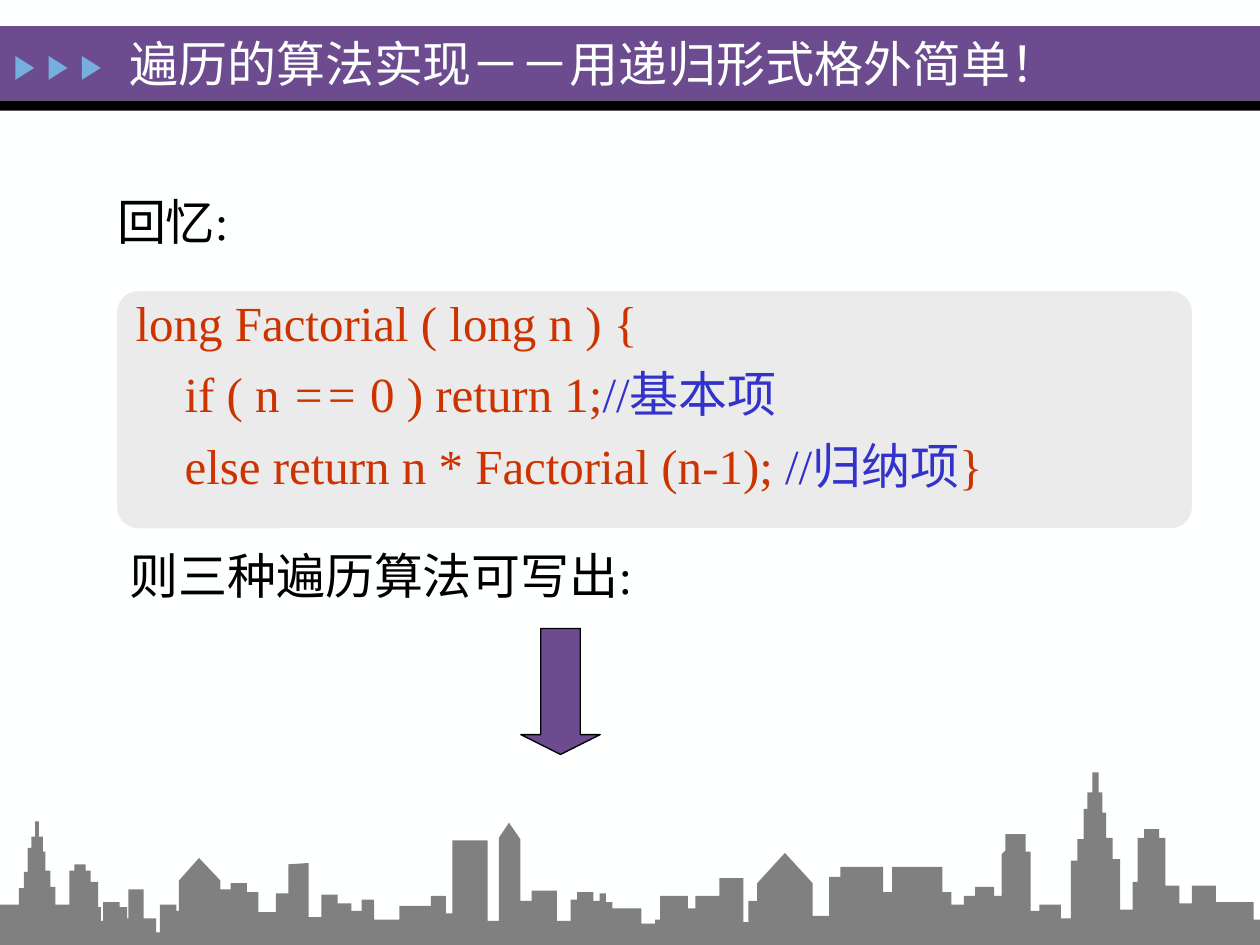
from pptx import Presentation
from pptx import util as u
from pptx.dml.color import RGBColor
from pptx.enum import shapes, text

COLOURS = {
    "paper": "FEFFFF", "purple": "6C4C8F", "black": "000000", "sky": "76AEDD",
    "panel": "EBEBEB", "code": "CC3300", "comment": "3333CC", "city": "808080",
}

ROOFS = [
    (15, 705), (19, 692), (22, 673), (25, 664), (28, 652), (31, 664), (34, 676),
    (36, 691), (40, 704), (44, 718), (55, 691), (59, 686), (68, 691), (72, 700),
    (78, 720), (80, 731), (82, 716), (95, 720), (101, 729), (102, 706), (114, 729),
    (124, 740), (127, 718), (140, 723), (142, 699), (158, 681), (175, 699),
    (175, 706), (183, 701), (196, 708), (205, 724), (219, 709), (229, 686),
    (245, 685), (245, 728), (255, 710), (268, 717), (279, 723), (287, 714),
    (297, 730), (317, 719), (342, 711), (354, 725), (359, 667), (387, 731),
    (396, 665), (404, 653), (413, 666), (413, 715), (422, 707), (442, 731),
    (453, 714), (458, 708), (471, 715), (476, 709), (481, 716), (486, 721),
    (509, 733), (520, 730), (524, 711), (546, 721), (552, 711), (571, 697),
    (590, 732), (594, 715), (601, 701), (623, 677), (645, 701), (645, 727),
    (658, 696), (667, 688), (701, 708), (708, 688), (748, 708), (755, 718),
    (765, 711), (774, 704), (789, 711), (795, 678), (798, 675), (798, 662),
    (814, 676), (818, 723), (825, 718), (842, 729), (850, 683), (855, 666),
    (860, 642), (863, 629), (867, 613), (872, 629), (875, 645), (878, 665),
    (883, 682), (889, 722), (899, 700), (903, 665), (908, 658), (920, 665),
    (925, 703), (936, 717), (946, 703), (965, 716), (995, 730),
]
SLOPED = {(158, 681), (175, 699), (245, 685), (404, 653), (413, 666),
          (623, 677), (645, 701), (798, 675)}


class SlideWriter:
    """Draws styled elements on the current slide."""

    font = "Times New Roman"
    size = u.Pt(28)

    def __init__(self, page):
        self.page = page
        self.paint(page.background.fill, "paper")

    def paint(self, fill, colour):
        fill.solid()
        fill.fore_color.rgb = RGBColor.from_string(COLOURS[colour])

    def finish(self, shape, colour, outline=None):
        shape.shadow.inherit = False
        self.paint(shape.fill, colour)
        if outline:
            self.paint(shape.line.fill, outline)
            shape.line.width = u.Pt(0.75)
        else:
            shape.line.fill.background()
        return shape

    def shape(self, kind, area, colour, outline=None, adjust=()):
        shape = self.page.shapes.add_shape(kind, *map(u.Cm, area))
        for index, value in enumerate(adjust):
            shape.adjustments[index] = value
        return self.finish(shape, colour, outline)

    def span(self, para, words, colour, italic=False):
        span = para.add_run()
        span.text = words
        span.font.name, span.font.size = self.font, self.size
        span.font.italic = italic
        span.font.color.rgb = RGBColor.from_string(COLOURS[colour])

    def label(self, area, words, colour, anchor=text.MSO_ANCHOR.TOP):
        box = self.page.shapes.add_textbox(*map(u.Cm, area))
        box.text_frame.word_wrap = True
        box.text_frame.vertical_anchor = anchor
        self.span(box.text_frame.paragraphs[0], words, colour)

    def code(self, area, lines):
        box = self.shape(shapes.MSO_SHAPE.ROUNDED_RECTANGLE, area, "panel", adjust=[0.09])
        frame = box.text_frame
        frame.word_wrap = True
        frame.vertical_anchor = text.MSO_ANCHOR.TOP
        for index, spans in enumerate(lines):
            para = frame.add_paragraph() if index else frame.paragraphs[0]
            para.alignment = text.PP_ALIGN.LEFT
            para.line_spacing = 0.8
            if index:
                para.space_before = u.Pt(14)
            for span in spans:
                self.span(para, *span)

    def skyline(self, roofs, sloped, colour):
        width, ground, level = 1000, 750, 718
        points = [(0, level)]
        for x, y in roofs:
            if (x, y) not in sloped:
                points.append((x, level))
            points.append((x, y))
            level = y
        points += [(width, level), (width, ground)]
        outline = self.page.shapes.build_freeform(0, ground, scale=u.Cm(0.0254))
        outline.add_line_segments(points, close=True)
        self.finish(outline.convert_to_shape(), colour)


def main():
    deck = Presentation()
    deck.slide_width, deck.slide_height = u.Cm(25.4), u.Cm(19.05)
    writer = SlideWriter(deck.slides.add_slide(deck.slide_layouts[6]))
    kinds = shapes.MSO_SHAPE

    writer.shape(kinds.RECTANGLE, (0, 0.53, 25.4, 1.5), "purple")
    writer.shape(kinds.RECTANGLE, (0, 2.03, 25.4, 0.2), "black")
    for index in range(3):
        marker = writer.shape(
            kinds.ISOSCELES_TRIANGLE, (0.26 + 0.67 * index, 1.18, 0.48, 0.38), "sky")
        marker.rotation = 90

    writer.label((2.36, 10.87, 11.46, 1.45), "则三种遍历算法可写出:", "black")
    writer.shape(kinds.DOWN_ARROW, (10.5, 12.67, 1.6, 2.54), "purple", "black", (0.5, 0.25))
    writer.label((2.36, 0.56, 22.99, 1.42), "遍历的算法实现－－用递归形式格外简单！",
                 "paper", text.MSO_ANCHOR.MIDDLE)
    writer.code((2.36, 5.87, 21.67, 4.78), [
        [("long Factorial ( long n ) {", "code")],
        [("    if ( n", "code"), (" ==", "code", True),
         (" 0 ) return 1;", "code"), ("//基本项", "comment")],
        [("    else return n * Factorial (n", "code"), ("-", "code", True),
         ("1); ", "code"), ("//归纳项", "comment"), ("}", "code")],
    ])
    writer.label((2.11, 3.73, 3.2, 1.45), "回忆:", "black")
    writer.skyline(ROOFS, SLOPED, "city")
    deck.save("out.pptx")


if __name__ == "__main__":
    main()
